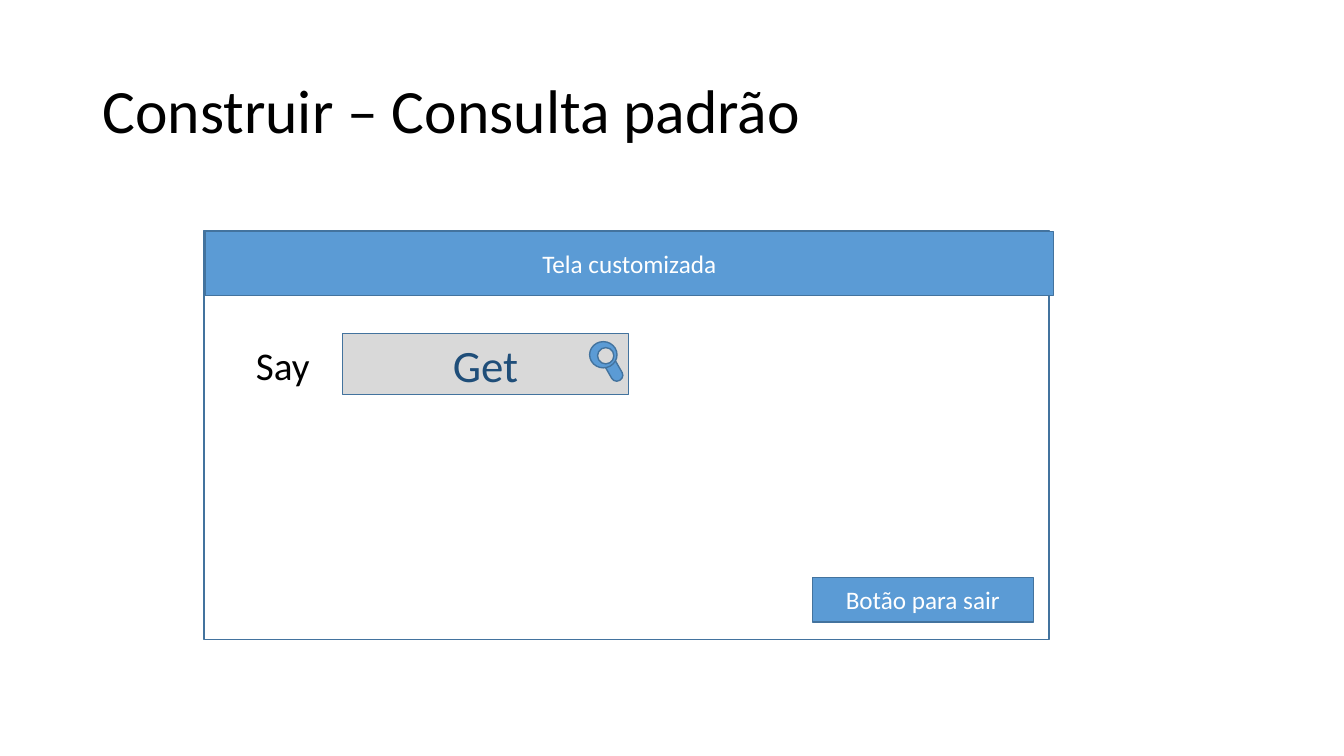
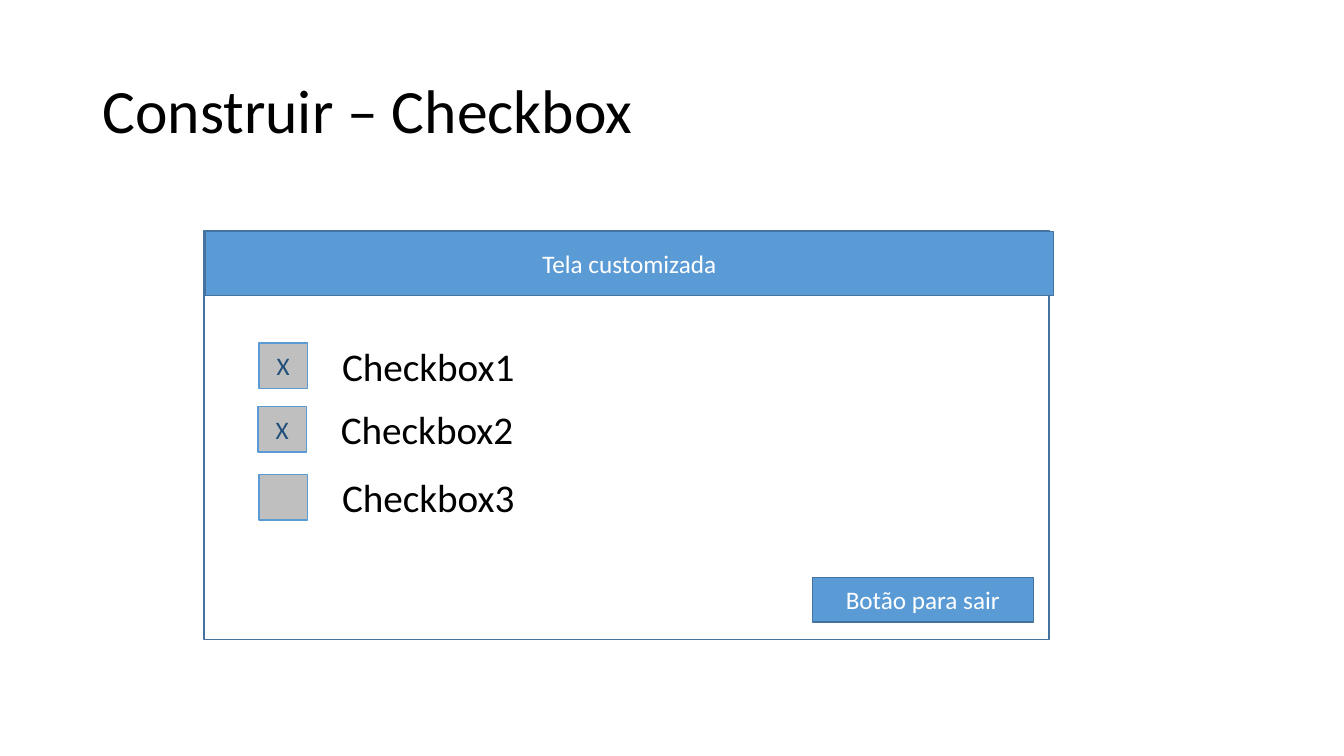
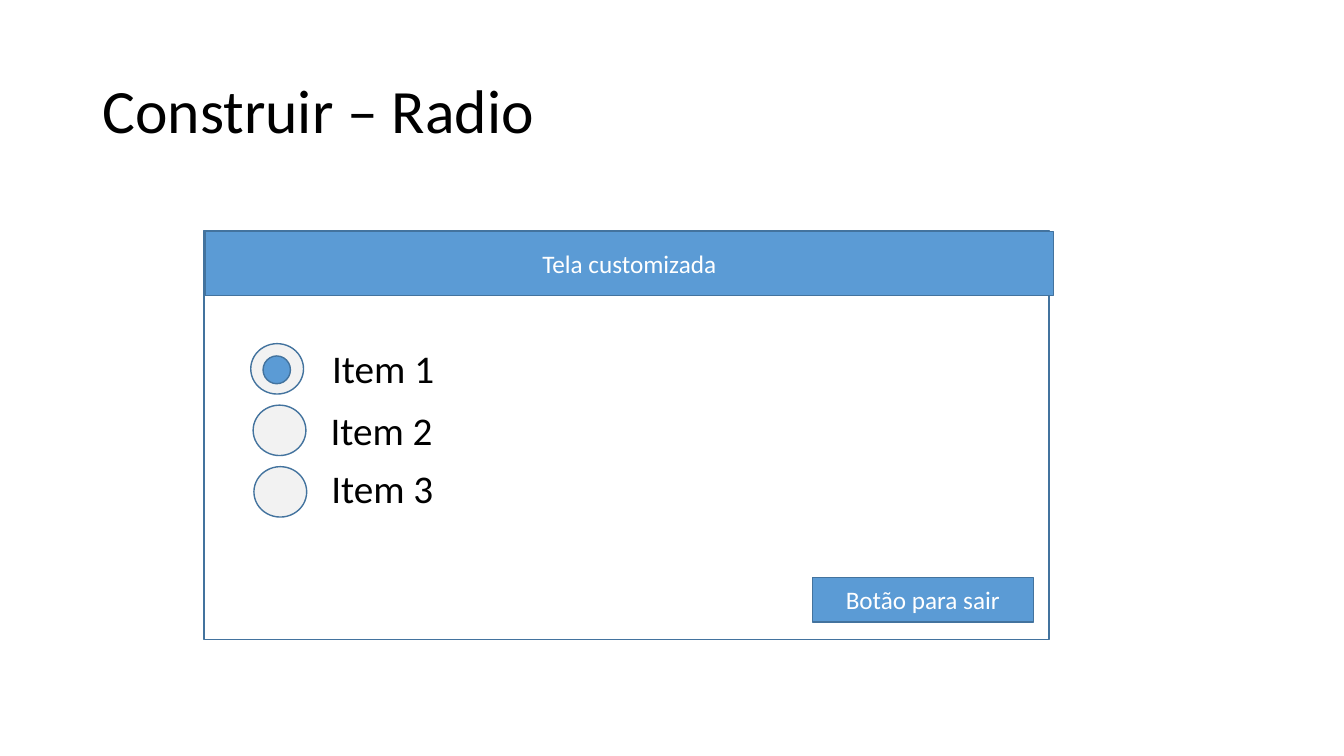
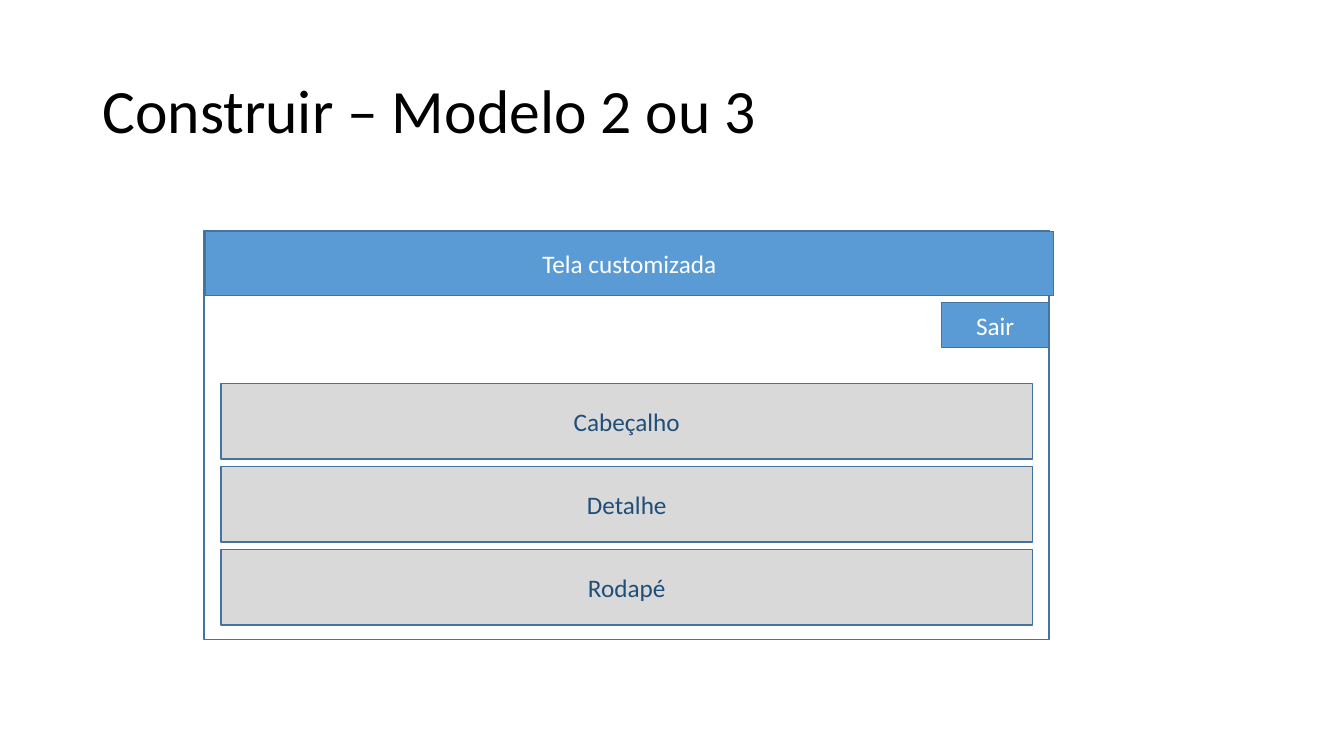
from dataclasses import dataclass
from typing import NamedTuple

from pptx import Presentation
from pptx.dml.color import RGBColor
from pptx.enum.shapes import MSO_SHAPE
from pptx.enum.text import MSO_ANCHOR, MSO_AUTO_SIZE, PP_ALIGN
from pptx.presentation import Presentation as Deck
from pptx.shapes.autoshape import Shape
from pptx.shapes.shapetree import GroupShapes, SlideShapes
from pptx.slide import Slide
from pptx.text.text import _Paragraph as Para
from pptx.util import Cm, Pt


@dataclass(frozen=True)
class Theme:
    """Colours, font and type sizes of the deck."""

    font: str = "Calibri"
    black: RGBColor = RGBColor.from_string("000000")
    white: RGBColor = RGBColor.from_string("FFFFFF")
    blue: RGBColor = RGBColor.from_string("5B9BD5")
    edge: RGBColor = RGBColor.from_string("43739E")
    navy: RGBColor = RGBColor.from_string("1F4E79")
    pale: RGBColor = RGBColor.from_string("F2F2F2")
    light: RGBColor = RGBColor.from_string("D9D9D9")
    grey: RGBColor = RGBColor.from_string("BFBFBF")
    head: float = 44
    large: float = 32
    label: float = 28
    small: float = 18


THEME = Theme()


class Area(NamedTuple):
    """A place on the slide in centimetres."""

    left: float
    top: float
    width: float
    height: float


@dataclass(frozen=True)
class Block:
    """A filled shape with an optional line of text."""

    area: Area
    text: str = ""
    fill: RGBColor = THEME.blue
    line: RGBColor = THEME.edge
    ink: RGBColor = THEME.white
    size: float = THEME.small
    form: MSO_SHAPE = MSO_SHAPE.RECTANGLE
    turn: float = 0


class Check(NamedTuple):
    """A checkbox with its mark and label."""

    text: str
    mark: str
    left: float
    top: float


class Radio(NamedTuple):
    """A radio button and the corner of its label."""

    text: str
    left: float
    top: float
    text_left: float
    text_top: float


FRAME = Block(Area(5.14, 5.81, 21.3, 10.3), fill=THEME.white)
BAND = Block(Area(5.17, 5.83, 21.38, 1.62), "Tela customizada")
LEAVE = Block(Area(20.47, 14.55, 5.57, 1.13), "Botão para sair")
EXIT = Block(Area(23.72, 7.63, 2.72, 1.13), "Sair")
FIELD = Block(Area(8.63, 8.4, 7.21, 1.55), "Get", THEME.light,
              ink=THEME.navy, size=THEME.large)
GLASS = (
    Block(Area(14.99, 9.07, 0.84, 0.3),
          form=MSO_SHAPE.FLOWCHART_DIRECT_ACCESS_STORAGE, turn=240.2),
    Block(Area(14.86, 8.61, 0.69, 0.66), form=MSO_SHAPE.OVAL),
    Block(Area(15.06, 8.76, 0.41, 0.41), fill=THEME.light,
          form=MSO_SHAPE.FLOWCHART_CONNECTOR),
)
DOT = Block(Area(6.63, 8.97, 0.69, 0.7), form=MSO_SHAPE.OVAL)
CHECKS = (
    Check("Checkbox1", "X", 6.53, 8.64),
    Check("Checkbox2", "X", 6.5, 10.24),
    Check("Checkbox3", "", 6.53, 11.96),
)
RADIOS = (
    Radio("Item 1", 6.32, 8.66, 8.12, 8.56),
    Radio("Item 2", 6.38, 10.21, 8.08, 10.11),
    Radio("Item 3", 6.4, 11.76, 8.1, 11.58),
)
PANELS = ("Cabeçalho", "Detalhe", "Rodapé")


def place(area: Area) -> tuple[Cm, ...]:
    """Turn an area into lengths."""
    return tuple(Cm(side) for side in area)


def write(para: Para, text: str, size: float, ink: RGBColor) -> None:
    """Add one styled run to a paragraph."""
    run = para.add_run()
    run.text = text
    run.font.name = THEME.font
    run.font.size = Pt(size)
    run.font.color.rgb = ink


def draw(shapes: SlideShapes | GroupShapes, block: Block) -> Shape:
    """Draw a block and its text."""
    shape = shapes.add_shape(block.form, *place(block.area))
    shape.rotation = block.turn
    shape.shadow.inherit = False
    shape.fill.solid()
    shape.fill.fore_color.rgb = block.fill
    shape.line.color.rgb = block.line
    shape.line.width = Pt(1)
    if block.text:
        frame = shape.text_frame
        frame.vertical_anchor = MSO_ANCHOR.MIDDLE
        para = frame.paragraphs[0]
        para.alignment = PP_ALIGN.CENTER
        write(para, block.text, block.size, block.ink)
    return shape


def label(slide: Slide, text: str, area: Area) -> None:
    """Add a label that keeps to one line."""
    frame = slide.shapes.add_textbox(*place(area)).text_frame
    frame.word_wrap = False
    frame.auto_size = MSO_AUTO_SIZE.SHAPE_TO_FIT_TEXT
    write(frame.paragraphs[0], text, THEME.label, THEME.black)


def start(deck: Deck, name: str) -> Slide:
    """Add a titled slide with the shared window."""
    slide = deck.slides.add_slide(deck.slide_layouts.get_by_name("Title Only"))
    title = slide.shapes.title
    title.left, title.top, title.width, title.height = place(
        Area(2.33, 1.01, 29.21, 3.68))
    frame = title.text_frame
    frame.auto_size = MSO_AUTO_SIZE.NONE
    frame.vertical_anchor = MSO_ANCHOR.MIDDLE
    para = frame.paragraphs[0]
    para.alignment = PP_ALIGN.LEFT
    para.line_spacing = 0.9
    write(para, f"Construir – {name}", THEME.head, THEME.black)
    for block in (FRAME, BAND):
        draw(slide.shapes, block)
    return slide


def add_query(deck: Deck) -> None:
    """Build the lookup field slide."""
    slide = start(deck, "Consulta padrão")
    label(slide, "Say", Area(6.2, 8.48, 1.88, 1.45))
    for block in (FIELD, LEAVE):
        draw(slide.shapes, block)
    group = slide.shapes.add_group_shape()
    for block in GLASS:
        draw(group.shapes, block)


def add_checks(deck: Deck) -> None:
    """Build the checkbox slide."""
    slide = start(deck, "Checkbox")
    draw(slide.shapes, LEAVE)
    for item in CHECKS:
        draw(slide.shapes, Block(Area(item.left, item.top, 1.22, 1.15),
                                 item.mark, THEME.grey, THEME.blue, THEME.navy))
        label(slide, item.text,
              Area(item.left + 1.84, item.top - 0.15, 4.9, 1.45))


def add_radios(deck: Deck) -> None:
    """Build the radio button slide."""
    slide = start(deck, "Radio")
    draw(slide.shapes, LEAVE)
    for item in RADIOS:
        draw(slide.shapes, Block(Area(item.left, item.top, 1.33, 1.27),
                                 fill=THEME.pale, form=MSO_SHAPE.OVAL))
        label(slide, item.text,
              Area(item.text_left, item.text_top, 3.12, 1.45))
    draw(slide.shapes, DOT)


def add_panels(deck: Deck) -> None:
    """Build the slide of stacked panels."""
    slide = start(deck, "Modelo 2 ou 3")
    draw(slide.shapes, EXIT)
    for row, text in enumerate(PANELS):
        area = Area(5.57, 9.66 + row * 2.09, 20.45, 1.91)
        draw(slide.shapes, Block(area, text, THEME.light, ink=THEME.navy))


def main() -> None:
    """Build and save the deck."""
    deck = Presentation()
    deck.slide_width, deck.slide_height = Cm(33.87), Cm(19.05)
    for build in (add_query, add_checks, add_radios, add_panels):
        build(deck)
    deck.save("out.pptx")


if __name__ == "__main__":
    main()
